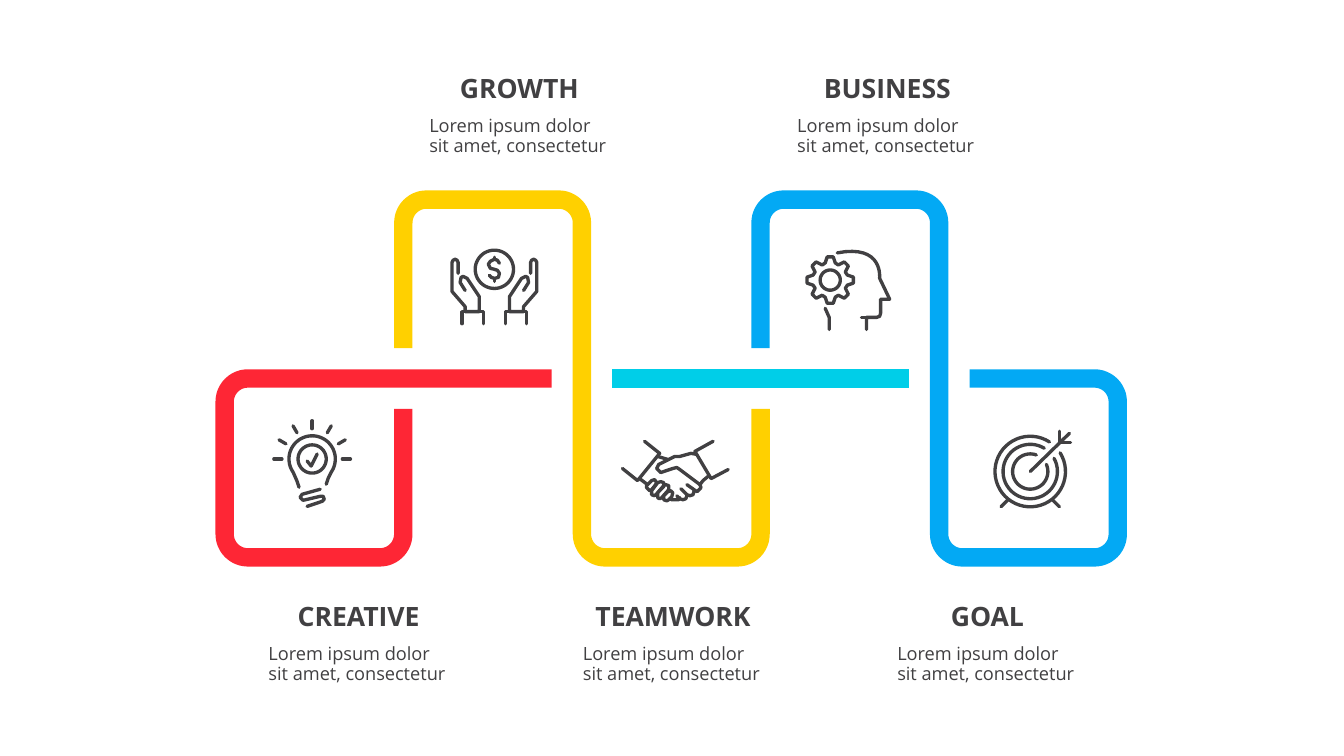
from math import cos, pi, radians, sin

from lxml.etree import SubElement
from pptx import Presentation
from pptx.dml.color import RGBColor
from pptx.enum.shapes import MSO_CONNECTOR
from pptx.enum.text import PP_ALIGN
from pptx.oxml.ns import qn
from pptx.util import Inches, Pt

COLORS = {
    "red": "FE2635",
    "yellow": "FFD000",
    "cyan": "00CEE8",
    "blue": "03A9F4",
    "ink": "414042",
}
FONT = "Open Sans"
LEFT, TOP = 2.23, 1.98
COLUMN, ROW = 1.773, 1.775
GAP = 0.17
BEND = 0.13
RIBBON_WIDTH, ICON_WIDTH = 13.12, 2.38
BLURB = "Lorem ipsum dolor sit amet, consectetur"

RIBBONS = [
    ("red", [(2 - GAP, 1), (0, 1), (0, 2), (1, 2), (1, 1 + GAP)]),
    ("yellow", [(1, 1 - GAP), (1, 0), (2, 0), (2, 2), (3, 2), (3, 1 + GAP)]),
    ("cyan", [(4 - GAP, 1), (2 + GAP, 1)]),
    ("blue", [(3, 1 - GAP), (3, 0), (4, 0), (4, 2), (5, 2), (5, 1), (4 + GAP, 1)]),
]
CAPTIONS = [
    ("CREATIVE", 0.75, 2.23, 1.07),
    ("TEAMWORK", 2.51, 2.23, 1.07),
    ("GOAL", 4.27, 2.23, 1.07),
    ("GROWTH", 1.65, -0.72, 1.21),
    ("BUSINESS", 3.71, -0.72, 1.21),
]


def at(column, row):
    return Inches(LEFT + column * COLUMN), Inches(TOP + row * ROW)


def color(name):
    return RGBColor.from_string(COLORS[name])


def arc(radius, start=0, end=360):
    angles = [radians(start + (end - start) * i / 48) for i in range(49)]
    return [(radius * cos(a), radius * sin(a)) for a in angles]


def curve(a, b, c, d):
    steps = [i / 16 for i in range(17)]
    return [tuple((1 - t) ** 3 * p + 3 * t * (1 - t) ** 2 * q + 3 * t * t * (1 - t) * r + t ** 3 * s
                  for p, q, r, s in zip(a, b, c, d)) for t in steps]


def mirror(strokes):
    return strokes + [[(-x, y) for x, y in stroke] for stroke in strokes]


def round_bends(stops):
    route = [stops[0]]
    for before, bend, after in zip(stops, stops[1:], stops[2:]):
        (ax, ay), (bx, by) = [
            [BEND * (n - c) / max(abs(p - q) for p, q in zip(near, bend)) for n, c in zip(near, bend)]
            for near in (before, after)]
        for i in range(13):
            t = pi / 2 * i / 12
            u, v = 1 - sin(t), 1 - cos(t)
            route.append((bend[0] + ax * u + bx * v, bend[1] + ay * u + by * v))
    return route + [stops[-1]]


def draw_strokes(slide, strokes, paint, width):
    builder = None
    for stroke in strokes:
        if builder is None:
            builder = slide.shapes.build_freeform(*stroke[0])
        else:
            builder.move_to(*stroke[0])
        builder.add_line_segments(stroke[1:], close=stroke[0] == stroke[-1])
    outline = builder.convert_to_shape()
    outline.shadow.inherit = False
    outline.fill.background()
    outline.line.color.rgb = color(paint)
    outline.line.width = Pt(width)
    return outline


def draw_ribbon(slide, paint, stops):
    if len(stops) > 2:
        draw_strokes(slide, [[at(*p) for p in round_bends(stops)]], paint, RIBBON_WIDTH)
        return
    band = slide.shapes.add_connector(MSO_CONNECTOR.STRAIGHT, *at(*stops[0]), *at(*stops[1]))
    band.line.color.rgb = color(paint)
    band.line.width = Pt(RIBBON_WIDTH)
    SubElement(band._element.spPr, qn("a:effectLst"))


def draw_icon(slide, column, row, strokes):
    x0, y0 = at(column, row)
    placed = [[(x0 + Inches(x / 100), y0 + Inches(y / 100)) for x, y in stroke] for stroke in strokes]
    icon = draw_strokes(slide, placed, "ink", ICON_WIDTH)
    ln = icon.line._get_or_add_ln()
    ln.set("cap", "rnd")
    SubElement(ln, qn("a:round"))


def bulb():
    rays = [[(r * cos(radians(a)), r * sin(radians(a))) for r in (30, 38)] for a in range(180, 361, 30)]
    return rays + [
        [(-13, 28), (-15, 22), *arc(23, 145, 395), (16, 19), (14, 25)],
        arc(14),
        [(-5, 2), (-1, 7), (5, -5)],
        [(8, 30), (-10, 35), (-12, 38), (-9, 41), (8, 37), (11, 37), (12, 40), (10, 42), (-5, 47)],
    ]


def target():
    return mirror([[(-29, 35), (-22, 28)]]) + [
        arc(35, -32, 303), arc(27, -29, 301), arc(17.5, -24, 290),
        [(0, 0), (39, -38)],
        [(29, -40), (29, -29), (40, -29)],
    ]


def thinking_head():
    teeth = [(23, 3), (23, -3), (17, -5), (15, -8), (18, -14), (14, -18), (8, -15), (5, -17)]
    gear = []
    for _ in range(4):
        gear += teeth
        teeth = [(y, -x) for x, y in teeth]
    return [
        gear + gear[:1],
        arc(10),
        curve((7, -27), (53, -36), (49, -2), (49, -2))
        + [(59, 19), (50, 19), (50, 33), (49, 36), (46, 37), (36, 37), (36, 49)],
        [(36, 37), (31, 37)],
        [(-1, 49), (-1, 37), (-5, 28)],
    ]


def hands_with_coin():
    hand = [(-29, 21), (-34, 13), (-33, 8), (-31, 7), (-27, 9), (-15, 27), (-15, 42), (-29, 42),
            (-29, 37), (-42, 22), (-42, -7), (-41, -9), (-39, -10), (-37, -9), (-36, -7), (-36, 4)]
    cuff = [(-11, 54), (-11, 42), (-32, 42), (-32, 54)]
    dollar = [(-5, 6), (-3, 8), (0, 9), (4, 8), (5, 4), (3, 1), (0, 0), (-4, -1),
              (-6, -5), (-4, -8), (0, -10), (3, -9), (5, -6)]
    return mirror([hand, cuff]) + [arc(19), dollar, [(0, -10), (0, -12)], [(0, 9), (0, 12)]]


def handshake():
    knuckles = [
        [(-25, 19), (-28, 16), (-28, 14), (-23, 9), (-20, 8), (-18, 11), (-19, 13), (-23, 18)],
        [(-19, 23), (-11, 15), (-11, 11), (-14, 10), (-17, 11), (-23, 19), (-23, 23), (-20, 24)],
        [(-13, 26), (-6, 18), (-6, 14), (-9, 13), (-11, 14), (-17, 21), (-17, 26), (-15, 27)],
        [(-3, 25), (-2, 21), (-4, 19), (-7, 20), (-11, 24), (-11, 28), (-8, 29), (-6, 28)],
    ]
    return [knuckle + knuckle[:1] for knuckle in knuckles] + [
        [(12, 13), (22, 20), (24, 18), (26, 16), (25, 13)],
        [(6, 17), (12, 23), (15, 24), (18, 23), (19, 20), (19, 18)],
        [(2, 24), (5, 27), (8, 28), (11, 27), (12, 24), (12, 23)],
        [(-5, 27), (-3, 28), (1, 28), (4, 28), (5, 26)],
        [(38, -30), (20, -20), (36, 7), (53, -2)],
        [(22, -17), (16, -18), (5, -15), (0, -15), (-2, -14), (-16, -7), (-18, -3), (-14, 1),
         (-2, -3), (2, -4), (5, -2), (25, 13), (28, 9), (34, 4)],
        [(-52, -3), (-37, 9), (-15, -18), (-30, -30)],
        [(-35, 7), (-27, 13)],
        [(-7, -12), (-17, -15)],
    ]


def add_text(slide, words, center, row, columns, rows, size, bold, align):
    box = slide.shapes.add_textbox(*at(center - columns / 2, row),
                                   Inches(columns * COLUMN), Inches(rows * ROW))
    box.text_frame.word_wrap = True
    paragraph = box.text_frame.paragraphs[0]
    paragraph.alignment = align
    paragraph.line_spacing = 0.9
    run = paragraph.add_run()
    run.text = words
    run.font.name = FONT
    run.font.size = Pt(size)
    run.font.bold = bold
    run.font.color.rgb = color("ink")


def add_caption(slide, heading, center, row, heading_columns):
    add_text(slide, BLURB, center, row + 0.23, 1.12, 0.48, 13, False, PP_ALIGN.LEFT)
    add_text(slide, heading, center, row, heading_columns, 0.23, 19, True, PP_ALIGN.CENTER)


def main():
    deck = Presentation()
    deck.slide_width, deck.slide_height = Inches(13.34), Inches(7.5)
    slide = deck.slides.add_slide(deck.slide_layouts[6])
    for paint, stops in RIBBONS:
        draw_ribbon(slide, paint, stops)
    draw_icon(slide, 0.49, 1.45, bulb())
    draw_icon(slide, 4.51, 1.52, target())
    draw_icon(slide, 3.39, 0.45, thinking_head())
    draw_icon(slide, 1.51, 0.39, hands_with_coin())
    draw_icon(slide, 2.52, 1.52, handshake())
    for caption in CAPTIONS:
        add_caption(slide, *caption)
    deck.save("out.pptx")


if __name__ == "__main__":
    main()
